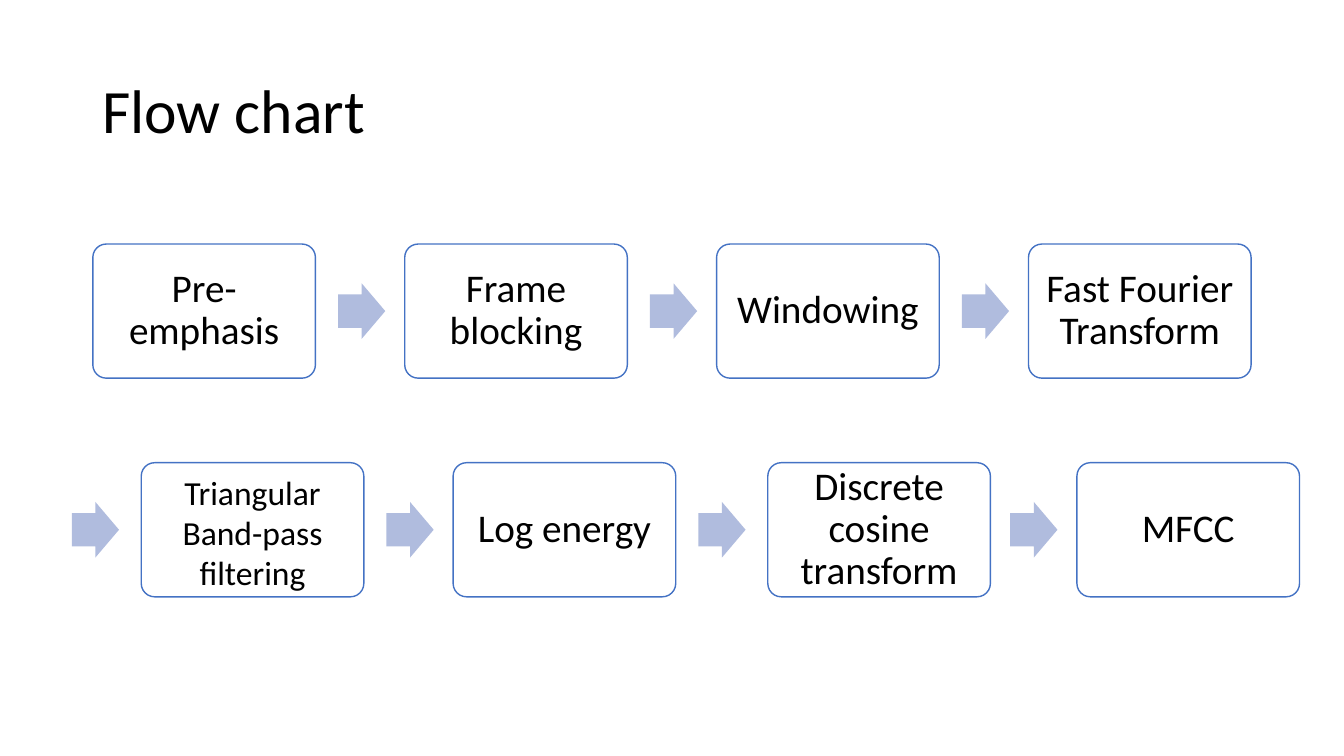
from pptx import Presentation
from pptx.dml.color import RGBColor
from pptx.enum.shapes import MSO_SHAPE
from pptx.enum.text import MSO_ANCHOR, PP_ALIGN
from pptx.util import Cm, Pt

BLACK = RGBColor(0x00, 0x00, 0x00)
WHITE = RGBColor(0xFF, 0xFF, 0xFF)
BLUE = RGBColor(0x44, 0x72, 0xC4)
PALE_BLUE = RGBColor(0xB0, 0xBC, 0xDE)

# Sizes in centimetres
BOX_WIDTH, BOX_HEIGHT = 5.61, 3.38
ARROW_WIDTH, ARROW_HEIGHT = 1.19, 1.4
STEP_PITCH = 7.86
ARROW_LEAD = 1.68
ROWS = [
    (2.34, 6.15, ["Pre-emphasis", "Frame blocking", "Windowing",
                  "Fast Fourier Transform"]),
    (3.56, 11.66, ["Triangular Band-pass filtering", "Log energy",
                   "Discrete cosine transform", "MFCC"]),
]
FIRST_STEP = "Pre-emphasis"
BOX_SHIFT = {"Discrete cosine transform": 0.07}
ARROW_SHIFT = {"Triangular Band-pass filtering": -0.07}

# Text formats
INSET = Cm(0.3)
STEP_FRAME = dict(word_wrap=True, vertical_anchor=MSO_ANCHOR.MIDDLE,
                  margin_left=INSET, margin_right=INSET,
                  margin_top=INSET, margin_bottom=INSET)
STEP_PARA = dict(alignment=PP_ALIGN.CENTER, line_spacing=0.9)
STEP_FORMAT = (STEP_FRAME, STEP_PARA, 28)
SPECIAL_FORMATS = {
    "Triangular Band-pass filtering": (
        dict(word_wrap=True, vertical_anchor=MSO_ANCHOR.TOP),
        dict(alignment=PP_ALIGN.CENTER), 24),
}
TITLE_FORMAT = (dict(word_wrap=True, vertical_anchor=MSO_ANCHOR.MIDDLE),
                dict(alignment=PP_ALIGN.LEFT, line_spacing=0.9), 44)


def write_text(box, text, text_format):
    frame_values, para_values, size = text_format
    frame = box.text_frame
    para = frame.paragraphs[0]
    span = para.add_run()
    span.text = text
    font_values = dict(name="Calibri", size=Pt(size))
    for target, values in ((frame, frame_values), (para, para_values),
                           (span.font, font_values)):
        for name, value in values.items():
            setattr(target, name, value)
    span.font.color.rgb = BLACK


def add_solid(page, kind, left, top, width, height, colour):
    shape = page.shapes.add_shape(kind, Cm(left), Cm(top), Cm(width), Cm(height))
    shape.shadow.inherit = False
    shape.fill.solid()
    shape.fill.fore_color.rgb = colour
    return shape


deck = Presentation()
deck.slide_width, deck.slide_height = Cm(33.87), Cm(19.05)
page = deck.slides.add_slide(deck.slide_layouts[6])

# Title
title = page.shapes.add_textbox(Cm(2.33), Cm(1.01), Cm(29.21), Cm(3.68))
write_text(title, "Flow chart", TITLE_FORMAT)

# Steps, each after the first led by an arrow
for row_left, top, steps in ROWS:
    for column, step in enumerate(steps):
        left = row_left + column * STEP_PITCH

        if step != FIRST_STEP:
            arrow = add_solid(page, MSO_SHAPE.RIGHT_ARROW,
                              left - ARROW_LEAD + ARROW_SHIFT.get(step, 0),
                              top + (BOX_HEIGHT - ARROW_HEIGHT) / 2,
                              ARROW_WIDTH, ARROW_HEIGHT, PALE_BLUE)
            arrow.adjustments[0] = 0.6
            arrow.adjustments[1] = 0.5
            arrow.line.fill.background()

        box = add_solid(page, MSO_SHAPE.ROUNDED_RECTANGLE,
                        left + BOX_SHIFT.get(step, 0), top,
                        BOX_WIDTH, BOX_HEIGHT, WHITE)
        box.adjustments[0] = 0.1
        box.line.color.rgb = BLUE
        box.line.width = Pt(1)
        write_text(box, step, SPECIAL_FORMATS.get(step, STEP_FORMAT))

deck.save("out.pptx")
